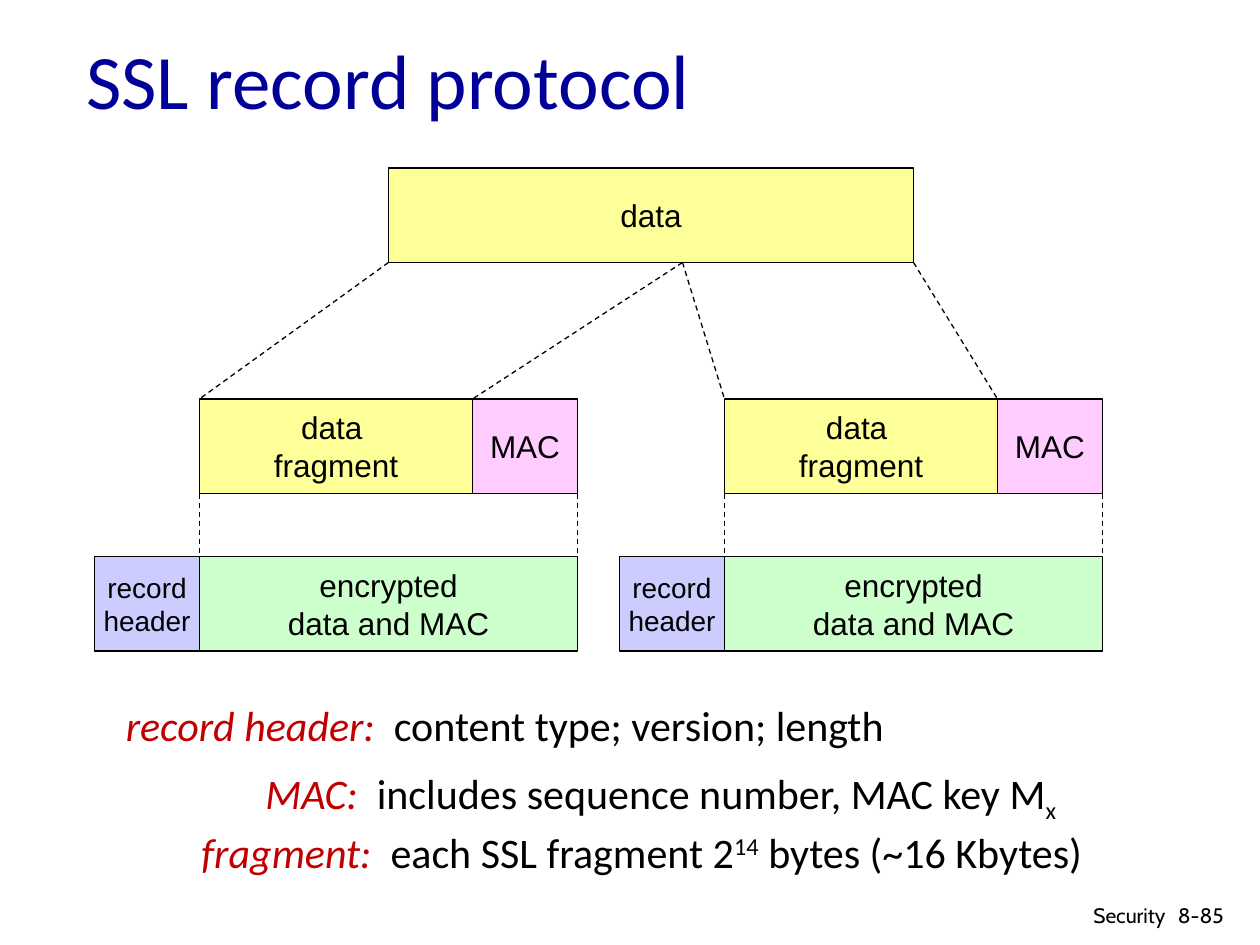
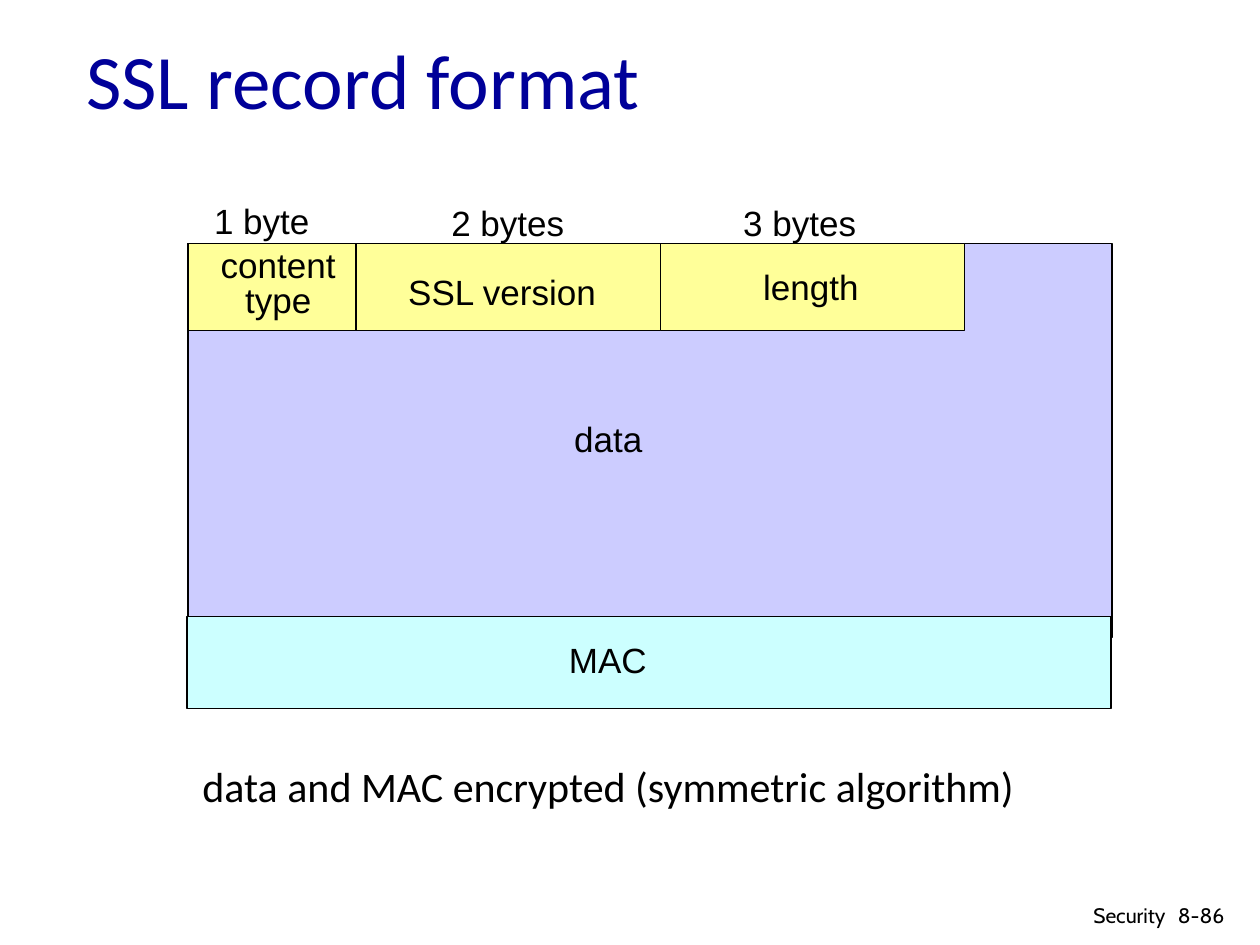
import pptx
import pptx.util
import pptx.dml.color
import pptx.enum.dml
import pptx.enum.shapes
import pptx.enum.text
import pptx.oxml.ns
import lxml.etree

PX = 7620  # EMU per px, 120 px to the inch
COLORS = {
    "title": "000099", "term": "C00000", "ink": "000000",
    "yellow": "FFFF99", "pink": "FFCCFF", "green": "CCFFCC",
    "lavender": "CCCCFF", "cyan": "CCFFFF",
}
ALIGN = pptx.enum.text.PP_ALIGN
ANCHOR = pptx.enum.text.MSO_ANCHOR
AUTO = pptx.enum.text.MSO_AUTO_SIZE


def rgb(name):
    return pptx.dml.color.RGBColor.from_string(COLORS[name])


def write(sp, lines, size, font="Arial", align=ALIGN.LEFT, wrap=False, auto=AUTO.NONE, spacing=None):
    """Each line is a list of runs: (text, colour, italic, baseline in percent)."""
    tf = sp.text_frame
    tf.word_wrap = wrap
    tf.auto_size = auto
    for i, runs in enumerate(lines):
        p = tf.paragraphs[0] if i == 0 else tf.add_paragraph()
        p.alignment = align
        if spacing:
            p.line_spacing = pptx.util.Pt(spacing)
        for text, color, italic, baseline in runs:
            r = p.add_run()
            r.text = text
            r.font.size = pptx.util.Pt(size)
            r.font.name = font
            r.font.italic = italic
            r.font.color.rgb = rgb(color)
            if baseline:
                r._r.get_or_add_rPr().set("baseline", str(baseline * 1000))


prs = pptx.Presentation()
prs.slide_width = 1200 * PX
prs.slide_height = 900 * PX

# Slide content: rectangles are (x, y, w, h, fill, lines, size)
record_boxes = [(370, 160, 500, 90, "yellow", ["data"], 18)]
dashes = [(370, 250, 190, 380), (650, 250, 450, 380), (650, 250, 690, 380), (870, 250, 950, 380)]
for x in (190, 690):
    record_boxes += [
        (x, 380, 260, 90, "yellow", ["data ", "fragment"], 18),
        (x + 260, 380, 100, 90, "pink", ["MAC"], 18),
        (x, 530, 360, 90, "green", ["encrypted", "data and MAC"], 18),
        (x - 100, 530, 100, 90, "lavender", ["record", "header"], 16),
    ]
    dashes += [(x, 470, x, 530), (x + 360, 470, x + 360, 530)]

format_boxes = [
    (179, 232, 880, 375, "lavender", [], 20),
    (179, 232, 160, 83, "yellow", [], 20),
    (339, 232, 290, 83, "yellow", [], 20),
    (629, 232, 290, 83, "yellow", [], 20),
    (178, 587, 880, 88, "cyan", [], 20),
]

# Labels are (x, y, w, lines)
field_labels = [
    (198, 233, 134, ["content", "type"]),
    (377, 252, 204, ["SSL version"]),
    (715, 247, 116, ["length"]),
    (530, 602, 100, ["MAC"]),
    (535, 392, 90, ["data"]),
    (192, 184, 116, ["1 byte"]),
    (418, 186, 132, ["2 bytes"]),
    (696, 186, 132, ["3 bytes"]),
]

# Notes are (x, y, w, runs)
record_notes = [
    (108, 660, 746, [("record header:  ", "term", True, 0),
                     ("content type; version; length", "ink", False, 0)]),
    (241, 725, 778, [("MAC:  ", "term", True, 0),
                     ("includes sequence number, MAC key M", "ink", False, 0),
                     ("x", "ink", False, -25)]),
    (180, 781, 863, [("fragment:  ", "term", True, 0),
                     ("each SSL fragment 2", "ink", False, 0),
                     ("14", "ink", False, 30),
                     (" bytes (~16 Kbytes)", "ink", False, 0)]),
]
format_notes = [
    (181, 718, 810, [("data and MAC encrypted (symmetric algorithm)", "ink", False, 0)]),
]

slides = [
    ("SSL record protocol", "8-85", record_boxes, dashes, [], record_notes),
    ("SSL record format", "8-86", format_boxes, [], field_labels, format_notes),
]

for title, number, boxes, lines, labels, notes in slides:
    s = prs.slides.add_slide(prs.slide_layouts[5])

    # Title
    sp = s.shapes.title
    sp.left, sp.top, sp.width, sp.height = 70 * PX, 0, 1020 * PX, 150 * PX
    sp.text_frame.vertical_anchor = ANCHOR.MIDDLE
    write(sp, [[(title, "title", False, 0)]], 44, "Calibri", wrap=True)

    # Rectangles
    for x, y, w, h, fill, texts, size in boxes:
        sp = s.shapes.add_shape(pptx.enum.shapes.MSO_SHAPE.RECTANGLE, x * PX, y * PX, w * PX, h * PX)
        sp.shadow.inherit = False
        sp.fill.solid()
        sp.fill.fore_color.rgb = rgb(fill)
        sp.line.color.rgb = rgb("ink")
        sp.line.width = pptx.util.Pt(0.75)
        sp.text_frame.vertical_anchor = ANCHOR.MIDDLE
        write(sp, [[(t, "ink", False, 0)] for t in texts], size, align=ALIGN.CENTER)

    # Dashed guides between layers
    for x1, y1, x2, y2 in lines:
        c = s.shapes.add_connector(pptx.enum.shapes.MSO_CONNECTOR.STRAIGHT, x1 * PX, y1 * PX, x2 * PX, y2 * PX)
        c.line.color.rgb = rgb("ink")
        c.line.width = pptx.util.Pt(0.75)
        c.line.dash_style = pptx.enum.dml.MSO_LINE.DASH
        lxml.etree.SubElement(c._element.spPr, pptx.oxml.ns.qn("a:effectLst"))

    # Field labels
    for x, y, w, texts in labels:
        stacked = len(texts) > 1
        sp = s.shapes.add_textbox(x * PX, y * PX, w * PX, (79 if stacked else 53) * PX)
        write(sp, [[(t, "ink", False, 0)] for t in texts], 20,
              align=ALIGN.CENTER if stacked else ALIGN.LEFT,
              auto=AUTO.SHAPE_TO_FIT_TEXT, spacing=20 if stacked else None)

    # Notes
    for x, y, w, runs in notes:
        sp = s.shapes.add_textbox(x * PX, y * PX, w * PX, 61 * PX)
        write(sp, [runs], 24, "Calibri", auto=AUTO.SHAPE_TO_FIT_TEXT)

    # Footer
    for x, w, h, text, align in [(1110, 90, 36, number, ALIGN.LEFT), (1027, 95, 34, "Security", ALIGN.RIGHT)]:
        sp = s.shapes.add_textbox(x * PX, 854 * PX, w * PX, h * PX)
        write(sp, [[(text, "ink", False, 0)]], 12, "Cabin", align, wrap=True)

prs.save("out.pptx")
